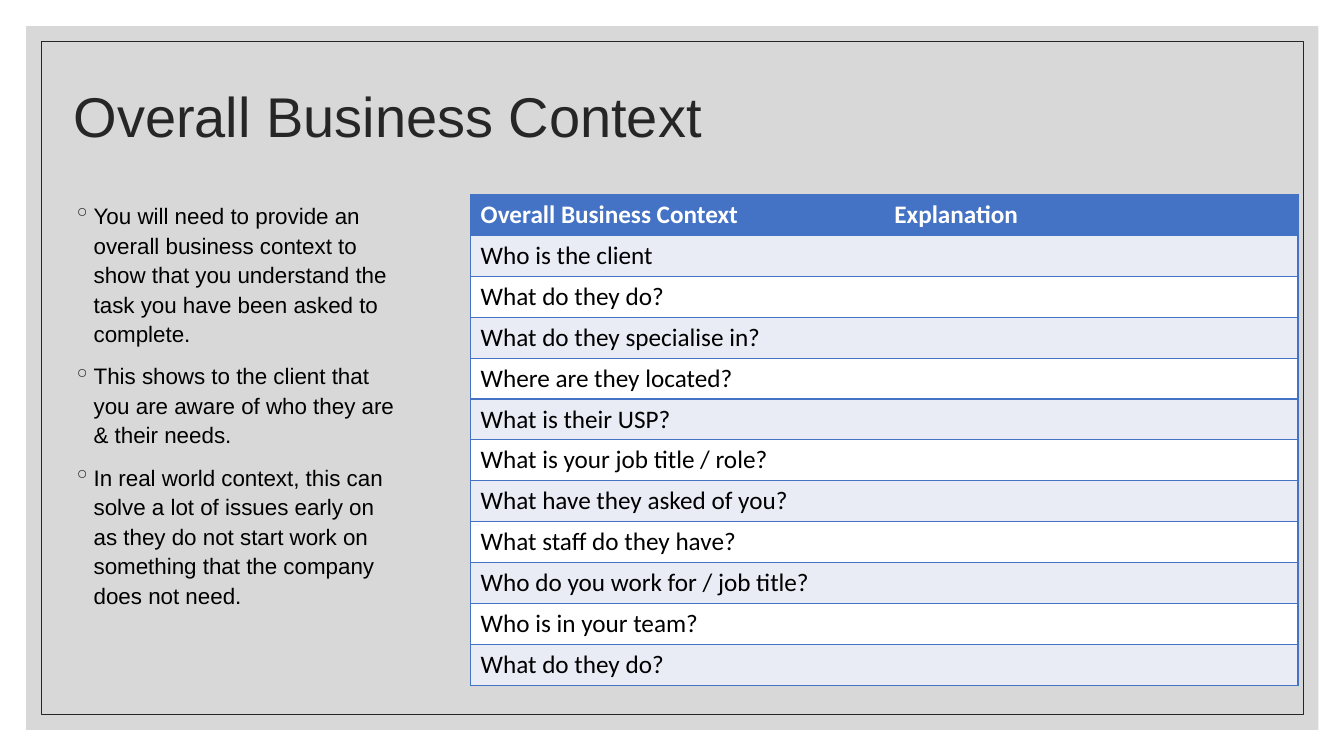
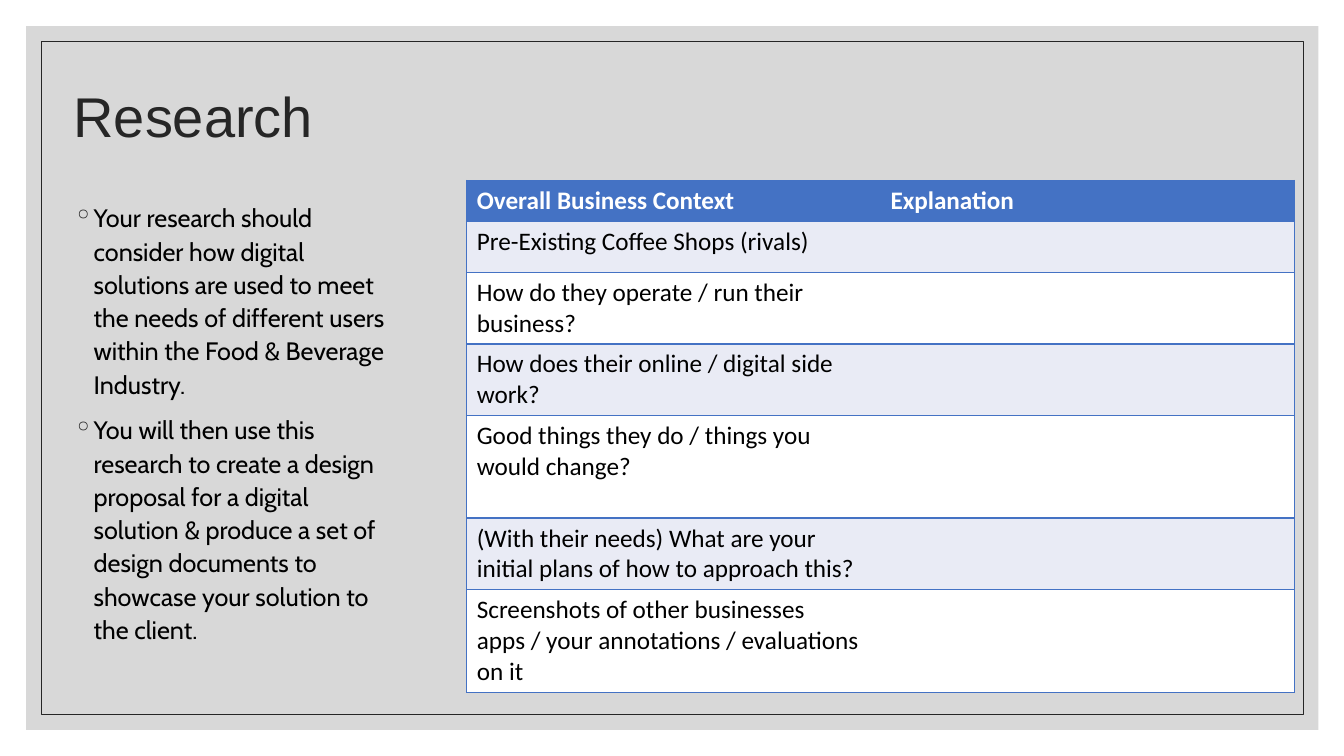
from lxml import etree
from pptx import Presentation
from pptx import oxml
from pptx.dml.color import RGBColor
from pptx.enum import shapes, text
from pptx.util import Pt

WHITE = RGBColor(0xFF, 0xFF, 0xFF)
BLACK = RGBColor(0, 0, 0)
INK = RGBColor(0x26, 0x26, 0x26)
GREY = RGBColor(0xBF, 0xBF, 0xBF)
BLUE = RGBColor(0x44, 0x72, 0xC4)
PALE = RGBColor(0xE9, 0xEB, 0xF5)

NS = 'xmlns:a="http://schemas.openxmlformats.org/drawingml/2006/main"'
PLAIN_TABLE = "{2D5ABB26-0587-4C30-8999-92F81FD0307C}"

TITLE_FONT = {"name": "Arial", "size": Pt(40)}
HEADER_FONT = {"name": "Calibri", "size": Pt(18), "bold": True}
CELL_FONT = {"name": "Calibri", "size": Pt(18), "bold": False}

HEADINGS = ["Overall Business Context", "Explanation"]
COLUMN_WIDTH = 295.5
ROW = 29.2  # height of a one-line row
TWO_LINES = 51.2
THREE_LINES = 73.2

PAGES = [
    {
        "title": "Overall Business Context",
        "points_font": {"name": "Arial", "size": Pt(16)},
        "points": [
            "You will need to provide an overall business context to show that you "
            "understand the task you have been asked to complete.",
            "This shows to the client that you are aware of who they are & their needs.",
            "In real world context, this can solve a lot of issues early on as they do "
            "not start work on something that the company does not need.",
        ],
        "table_at": (336.2, 139),
        "questions": [
            ("Who is the client", ROW),
            ("What do they do?", ROW),
            ("What do they specialise in?", ROW),
            ("Where are they located?", ROW),
            ("What is their USP?", ROW),
            ("What is your job title / role?", ROW),
            ("What have they asked of you?", ROW),
            ("What staff do they have?", ROW),
            ("Who do you work for / job title?", ROW),
            ("Who is in your team?", ROW),
            ("What do they do?", ROW),
        ],
    },
    {
        "title": "Research",
        "points_font": {"name": "Cabin", "size": Pt(18)},
        "points": [
            "Your research should consider how digital solutions are used to meet the "
            "needs of different users within the Food & Beverage Industry.",
            "You will then use this research to create a design proposal for a digital "
            "solution & produce a set of design documents to showcase your solution to "
            "the client.",
        ],
        "table_at": (333.4, 128.9),
        "questions": [
            ("Pre-Existing Coffee Shops (rivals)", 36.4),
            ("How do they operate / run their business?", TWO_LINES),
            ("How does their online / digital side work?", TWO_LINES),
            ("Good things they do / things you would change?", THREE_LINES),
            ("(With their needs) What are your initial plans of how to approach this?",
             TWO_LINES),
            ("Screenshots of other businesses apps / your annotations / evaluations on it",
             THREE_LINES),
        ],
    },
]


def write(paragraph, words, font_format, color):
    run = paragraph.add_run()
    run.text = words
    for key, value in font_format.items():
        setattr(run.font, key, value)
    run.font.color.rgb = color


def add_textbox(slide, left, top, width, height, anchor):
    frame = slide.shapes.add_textbox(Pt(left), Pt(top), Pt(width), Pt(height)).text_frame
    frame.word_wrap = True
    frame.vertical_anchor = anchor
    return frame


deck = Presentation()
deck.slide_width, deck.slide_height = Pt(960), Pt(540)

for page in PAGES:
    slide = deck.slides.add_slide(deck.slide_layouts[6])

    # Translucent panel and thin frame
    panel = slide.shapes.add_shape(
        shapes.MSO_SHAPE.RECTANGLE, Pt(18.7), Pt(18.7), Pt(923), Pt(502.6))
    panel.fill.solid()
    panel.fill.fore_color.rgb = GREY
    tint = panel.fill._xPr.find(".//" + oxml.ns.qn("a:srgbClr"))
    tint.append(oxml.parse_xml(f'<a:alpha {NS} val="60000"/>'))
    panel.line.fill.background()

    border = slide.shapes.add_shape(
        shapes.MSO_SHAPE.RECTANGLE, Pt(29.5), Pt(29.5), Pt(901.4), Pt(481))
    border.fill.background()
    border.line.color.rgb = INK
    border.line.width = Pt(0.5)
    for backdrop in (panel, border):
        backdrop.shadow.inherit = False

    # Title
    title = add_textbox(slide, 45.4, 31, 862.6, 108, text.MSO_ANCHOR.MIDDLE).paragraphs[0]
    title.line_spacing = 0.9
    write(title, page["title"], TITLE_FONT, INK)

    # Bullet points
    body = add_textbox(slide, 45.4, 139, 246.2, 362, text.MSO_ANCHOR.TOP)
    for index, words in enumerate(page["points"]):
        point = body.add_paragraph() if index else body.paragraphs[0]
        point.line_spacing = 1.1
        point.space_before = Pt(9)
        write(point, words, page["points_font"], BLACK)
        layout = point._p.get_or_add_pPr()
        layout.set("marL", str(Pt(14.4)))
        layout.set("indent", str(-Pt(14.4)))
        bullet_color = etree.SubElement(layout, oxml.ns.qn("a:buClr"))
        etree.SubElement(bullet_color, oxml.ns.qn("a:srgbClr"), val=str(INK))
        etree.SubElement(layout, oxml.ns.qn("a:buChar"), char="◦")

    # Question table
    rows = [(HEADINGS, ROW)] + [([words, ""], height) for words, height in page["questions"]]
    left, top = page["table_at"]
    questions = slide.shapes.add_table(
        len(rows), 2, Pt(left), Pt(top), Pt(2 * COLUMN_WIDTH),
        Pt(sum(height for _, height in rows))).table
    questions._tbl.tblPr.find(oxml.ns.qn("a:tableStyleId")).text = PLAIN_TABLE
    questions.horz_banding = False
    for column in questions.columns:
        column.width = Pt(COLUMN_WIDTH)

    for r, (entries, height) in enumerate(rows):
        questions.rows[r].height = Pt(height)
        if r == 0:
            fill, color, font_format = BLUE, WHITE, HEADER_FONT
        else:
            fill, color, font_format = (PALE if r % 2 else WHITE), BLACK, CELL_FONT
        for c, words in enumerate(entries):
            cell = questions.cell(r, c)
            # Outer side, top and bottom lines; none between the columns
            for edge in ("lnR" if c else "lnL", "lnT", "lnB"):
                cell._tc.get_or_add_tcPr().append(oxml.parse_xml(
                    f'<a:{edge} {NS} w="{Pt(1)}"><a:solidFill>'
                    f'<a:srgbClr val="{BLUE}"/></a:solidFill></a:{edge}>'))
            cell.fill.solid()
            cell.fill.fore_color.rgb = fill
            if words:
                write(cell.text_frame.paragraphs[0], words, font_format, color)

deck.save("out.pptx")
